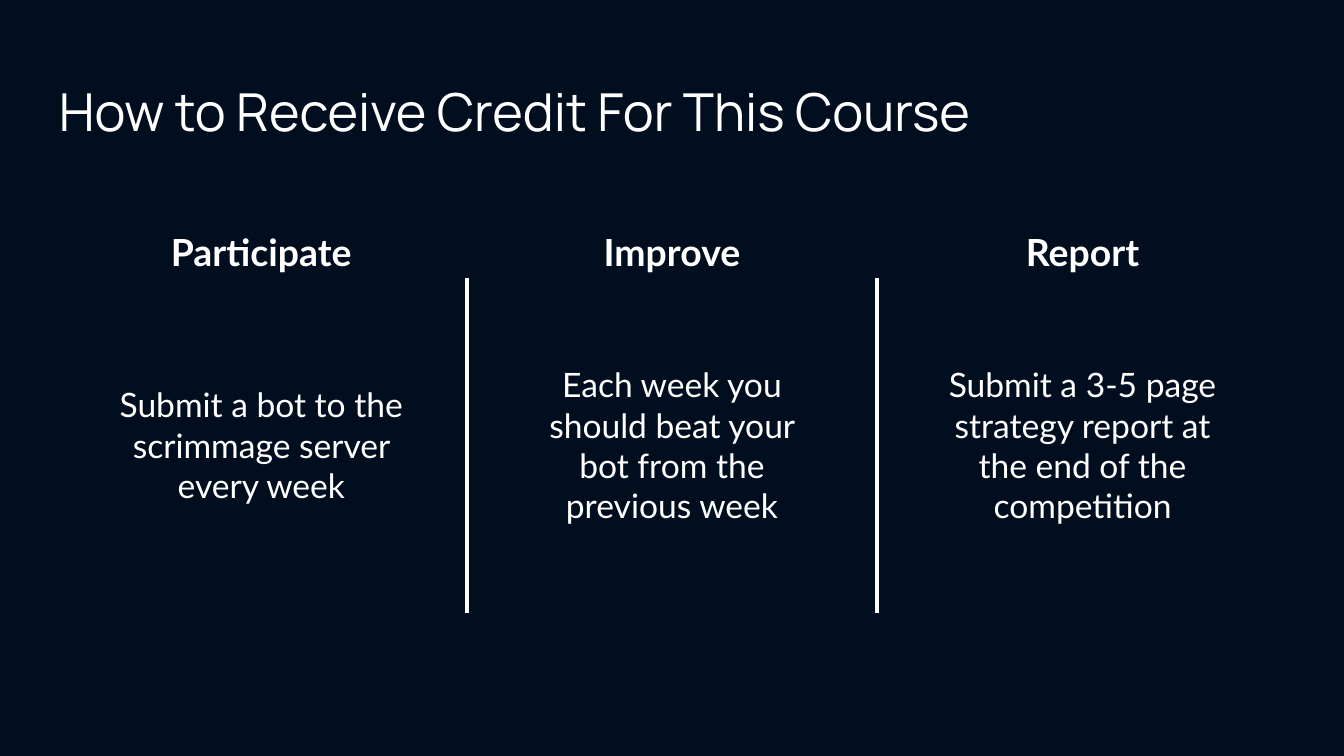
"""Build a slide with the three requirements for receiving course credit."""
import dataclasses

import lxml.etree
import pptx
import pptx.dml.color
import pptx.enum.shapes
import pptx.enum.text
import pptx.oxml.ns
import pptx.slide
import pptx.util

Pt = pptx.util.Pt
Align = pptx.enum.text.PP_ALIGN
Anchor = pptx.enum.text.MSO_ANCHOR


@dataclasses.dataclass(frozen=True)
class TextStyle:
    font: str
    size: float
    bold: bool = False
    align: Align = Align.CENTER
    anchor: Anchor = Anchor.MIDDLE
    space_after: float = 0


@dataclasses.dataclass(frozen=True)
class Theme:
    background: pptx.dml.color.RGBColor = pptx.dml.color.RGBColor(0x00, 0x0E, 0x1F)
    ink: pptx.dml.color.RGBColor = pptx.dml.color.RGBColor(0xFF, 0xFF, 0xFF)
    divider_width: float = 2.25
    inset: float = 7.2
    title: TextStyle = TextStyle("Manrope", 28, align=Align.LEFT, anchor=Anchor.TOP)
    heading: TextStyle = TextStyle("Lato", 20, bold=True)
    body: TextStyle = TextStyle("Lato", 18, space_after=16)


@dataclasses.dataclass(frozen=True)
class Box:
    left: float
    top: float
    width: float
    height: float


@dataclasses.dataclass(frozen=True)
class Requirement:
    heading: str
    body: str


THEME = Theme()
SLIDE_WIDTH, SLIDE_HEIGHT = 720, 405
FIRST_CENTER, COLUMN_PITCH = 140, 220
HEADING_WIDTH, BODY_WIDTH = 123, 167
DIVIDER_TOP, DIVIDER_BOTTOM = 149, 328.3
REQUIREMENTS = (
    Requirement("Participate", "Submit a bot to the scrimmage server every week"),
    Requirement("Improve", "Each week you should beat your bot from the previous week"),
    Requirement("Report", "Submit a 3-5 page strategy report at the end of the competition"),
)


def add_text(slide: pptx.slide.Slide, box: Box, wording: str, style: TextStyle) -> None:
    frame = slide.shapes.add_textbox(
        Pt(box.left), Pt(box.top), Pt(box.width), Pt(box.height)
    ).text_frame
    frame.word_wrap = True
    frame.vertical_anchor = style.anchor
    frame.margin_left = frame.margin_right = Pt(THEME.inset)
    frame.margin_top = frame.margin_bottom = Pt(THEME.inset)
    paragraph = frame.paragraphs[0]
    paragraph.alignment = style.align
    paragraph.space_after = Pt(style.space_after)
    run = paragraph.add_run()
    run.text = wording
    run.font.name = style.font
    run.font.size = Pt(style.size)
    run.font.bold = style.bold
    run.font.color.rgb = THEME.ink


def add_divider(slide: pptx.slide.Slide, x: float) -> None:
    divider = slide.shapes.add_connector(
        pptx.enum.shapes.MSO_CONNECTOR.STRAIGHT,
        Pt(x), Pt(DIVIDER_TOP), Pt(x), Pt(DIVIDER_BOTTOM),
    )
    divider.line.color.rgb = THEME.ink
    divider.line.width = Pt(THEME.divider_width)
    lxml.etree.SubElement(divider._element.spPr, pptx.oxml.ns.qn("a:effectLst"))


def add_requirement(slide: pptx.slide.Slide, center: float, requirement: Requirement) -> None:
    heading_box = Box(center - HEADING_WIDTH / 2, 117.4, HEADING_WIDTH, 34.6)
    body_box = Box(center - BODY_WIDTH / 2, 187.2, BODY_WIDTH, 102.2)
    add_text(slide, heading_box, requirement.heading, THEME.heading)
    add_text(slide, body_box, requirement.body, THEME.body)


def main() -> None:
    presentation = pptx.Presentation()
    presentation.slide_width = Pt(SLIDE_WIDTH)
    presentation.slide_height = Pt(SLIDE_HEIGHT)
    slide = presentation.slides.add_slide(presentation.slide_layouts[6])
    slide.background.fill.solid()
    slide.background.fill.fore_color.rgb = THEME.background

    title_box = Box(24.5, 35.3, 671, 45.4)
    add_text(slide, title_box, "How to Receive Credit For This Course", THEME.title)
    for column, requirement in enumerate(REQUIREMENTS):
        center = FIRST_CENTER + column * COLUMN_PITCH
        add_requirement(slide, center, requirement)
        if column:
            add_divider(slide, center - COLUMN_PITCH / 2)
    presentation.save("out.pptx")


if __name__ == "__main__":
    main()
